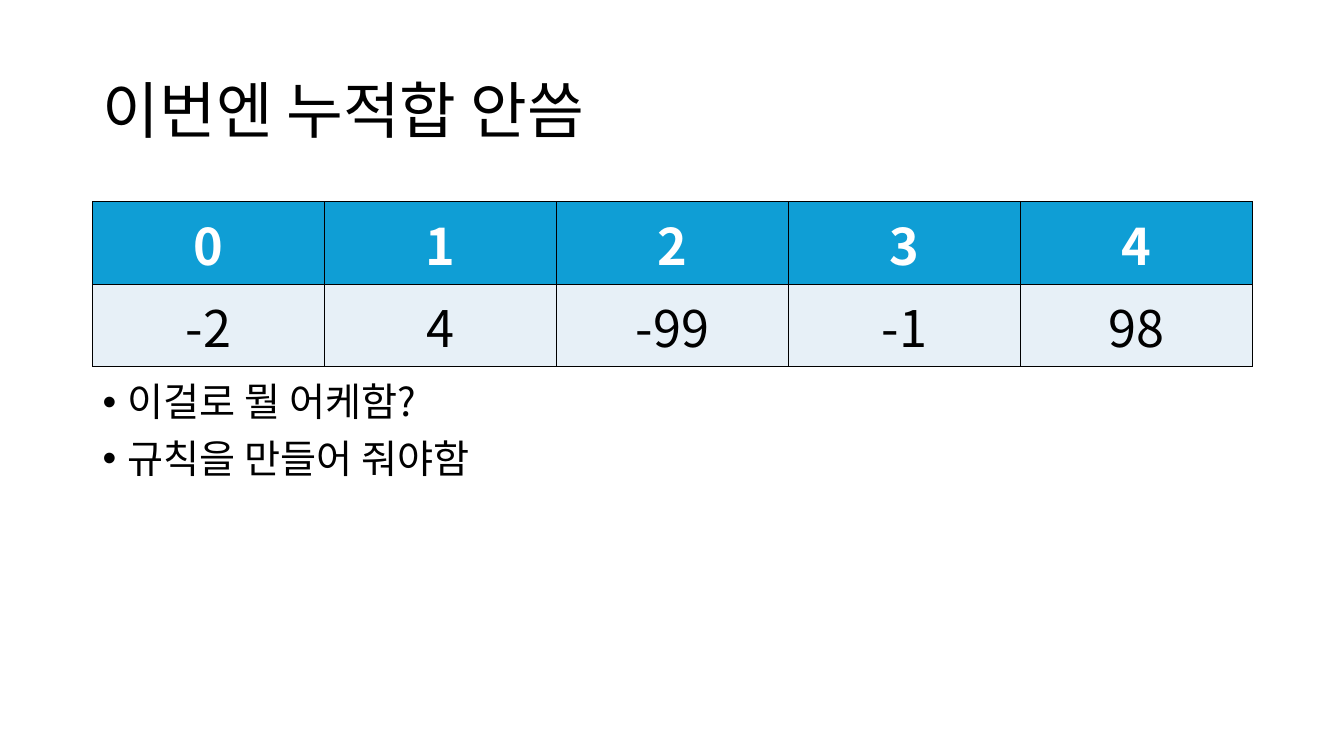
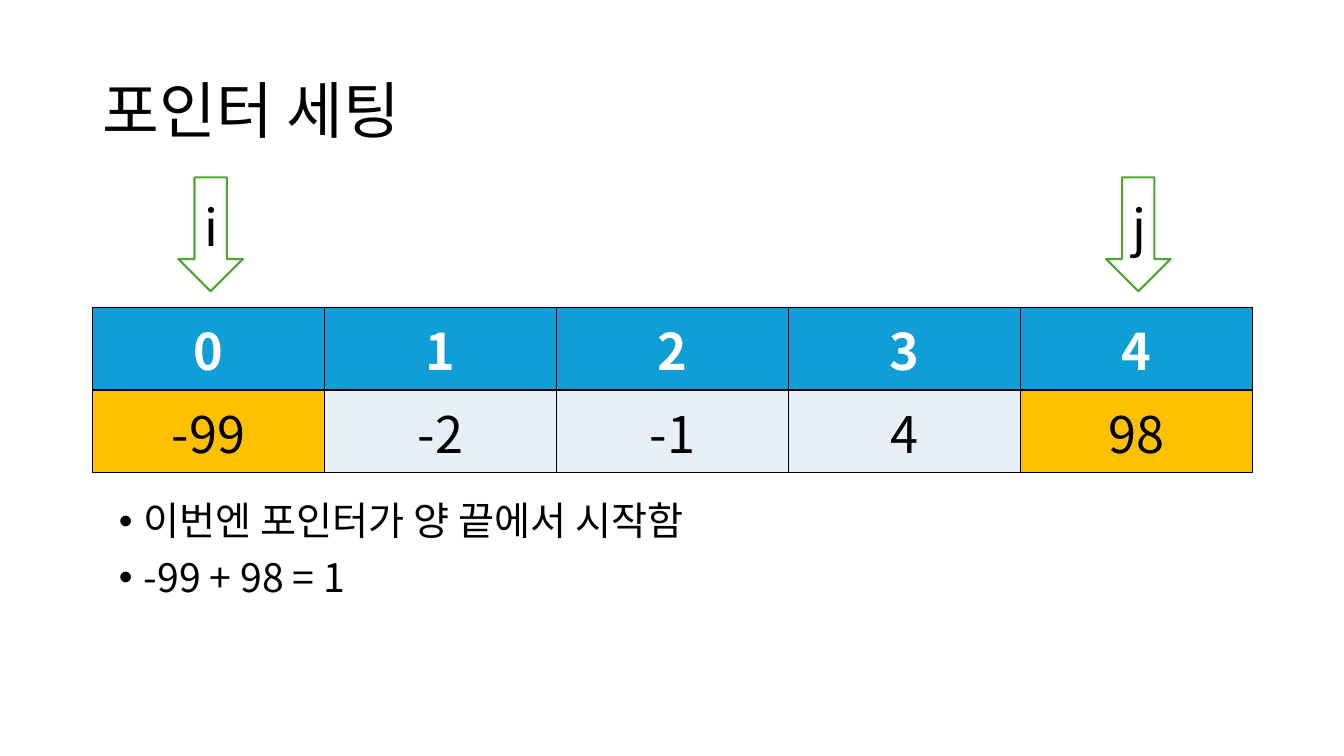
from lxml import etree
from pptx import Presentation
from pptx import util as u
from pptx.dml.color import RGBColor
from pptx.enum import shapes, text
from pptx.oxml.ns import qn

FONT = "Noto Sans CJK KR"
BLACK, WHITE = "000000", "FFFFFF"
HEADER, CELL, MARKED, ARROW = "0F9ED5", "E7F0F7", "FFC000", "4EA72E"
LEFT, COLUMN, ROW, COUNT = 0.92, 2.3, 0.82, 5
WIDTH = COLUMN * COUNT
ARROW_WIDTH, ARROW_HEIGHT, ARROW_RISE = 0.64, 1.13, 1.29

PAGES = [
    dict(title="이번엔 누적합 안씀", values=[-2, 4, -99, -1, 98], table_top=2,
         pointers={}, body=(LEFT, 3.75, 3.01),
         bullets=["이걸로 뭘 어케함?", "규칙을 만들어 줘야함"]),
    dict(title="포인터 세팅", values=[-99, -2, -1, 4, 98], table_top=3.05,
         pointers={0: "i", 4: "j"}, body=(1.08, 4.93, 1.99),
         bullets=["이번엔 포인터가 양 끝에서 시작함", "-99 + 98 = 1"]),
]


def paint(color_format, color):
    color_format.rgb = RGBColor.from_string(color)


def write(paragraph, words, size, color=BLACK, bold=False, centred=False):
    """Fill a paragraph, with one font for Latin and Korean letters."""
    paragraph.text = words
    if centred:
        paragraph.alignment = text.PP_ALIGN.CENTER
    font = paragraph.font
    font.size, font.bold, font.name = u.Pt(size), bold, FONT
    paint(font.fill.solid() or font.color, color)
    latin = paragraph._p.pPr.find(".//" + qn("a:latin"))
    latin.addnext(latin.makeelement(qn("a:ea"), {"typeface": FONT}))


presentation = Presentation()
presentation.slide_width, presentation.slide_height = u.Inches(13.33), u.Inches(7.5)

for page in PAGES:
    slide = presentation.slides.add_slide(presentation.slide_layouts[6])

    title = slide.shapes.add_textbox(*map(u.Inches, (LEFT, 0.4, WIDTH, 1.45))).text_frame
    title.word_wrap = True
    title.vertical_anchor = text.MSO_ANCHOR.MIDDLE
    title.paragraphs[0].line_spacing = 0.9
    write(title.paragraphs[0], page["title"], 44)

    table = slide.shapes.add_table(
        2, COUNT, *map(u.Inches, (LEFT, page["table_top"], WIDTH, 2 * ROW))).table
    for row, numbers in enumerate([range(COUNT), page["values"]]):
        for column, number in enumerate(numbers):
            cell = table.cell(row, column)
            cell.vertical_anchor = text.MSO_ANCHOR.MIDDLE
            is_header = row == 0
            fill = HEADER if is_header else MARKED if column in page["pointers"] else CELL
            cell.fill.solid()
            paint(cell.fill.fore_color, fill)
            write(cell.text_frame.paragraphs[0], str(number), 36,
                  WHITE if is_header else BLACK, is_header, centred=True)
            properties = cell._tc.get_or_add_tcPr()
            for index, side in enumerate("LRTB"):
                border = properties.makeelement(qn("a:ln" + side), {"w": str(u.Pt(1))})
                border_fill = etree.SubElement(border, qn("a:solidFill"))
                etree.SubElement(border_fill, qn("a:srgbClr"), val=BLACK)
                properties.insert(index, border)

    left, top, height = page["body"]
    body = slide.shapes.add_textbox(*map(u.Inches, (left, top, WIDTH, height))).text_frame
    body.word_wrap = True
    for index, words in enumerate(page["bullets"]):
        paragraph = body.add_paragraph() if index else body.paragraphs[0]
        paragraph.line_spacing = 0.9
        if index:
            paragraph.space_before = u.Pt(10)
        properties = paragraph._p.get_or_add_pPr()
        properties.set("marL", str(u.Inches(0.25)))
        properties.set("indent", str(u.Inches(-0.25)))
        etree.SubElement(properties, qn("a:buFont"), typeface="Arial")
        etree.SubElement(properties, qn("a:buChar"), char="•")
        write(paragraph, words, 28)

    for column, name in page["pointers"].items():
        centre = LEFT + (column + 0.5) * COLUMN + 0.02
        arrow = slide.shapes.add_shape(
            shapes.MSO_SHAPE.DOWN_ARROW,
            *map(u.Inches, (centre - ARROW_WIDTH / 2, page["table_top"] - ARROW_RISE,
                            ARROW_WIDTH, ARROW_HEIGHT)))
        arrow.shadow.inherit = False
        arrow.fill.solid()
        paint(arrow.fill.fore_color, WHITE)
        paint(arrow.line.color, ARROW)
        arrow.line.width = u.Pt(1.5)
        arrow.text_frame.vertical_anchor = text.MSO_ANCHOR.MIDDLE
        write(arrow.text_frame.paragraphs[0], name, 36, centred=True)

presentation.save("out.pptx")
